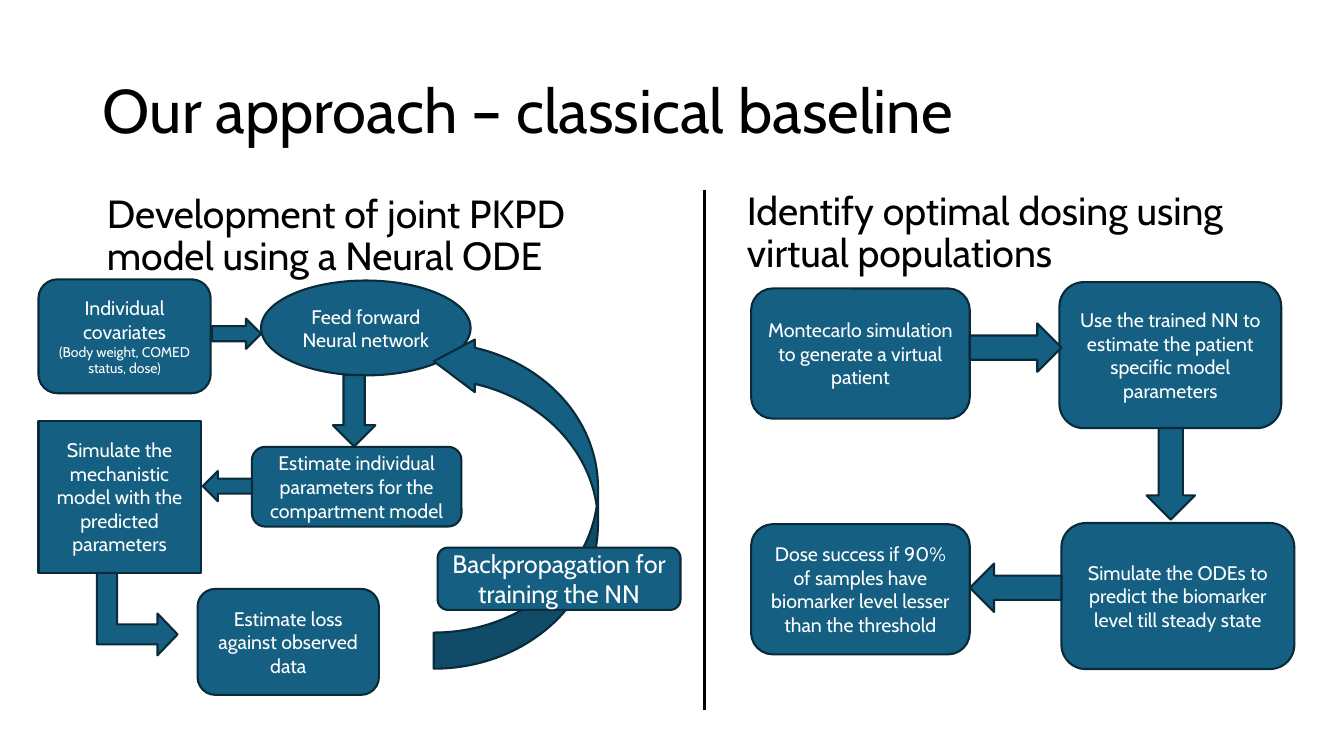
from lxml.etree import SubElement
from pptx import Presentation
from pptx.dml.color import RGBColor
from pptx.enum.shapes import MSO_CONNECTOR as Connector, MSO_SHAPE as Shape
from pptx.enum.text import MSO_ANCHOR as Anchor, MSO_AUTO_SIZE as AutoSize, PP_ALIGN as Align
from pptx.oxml.ns import qn
from pptx.util import Cm, Pt

FONT = "Cabin"
FILL, OUTLINE, BLACK, WHITE = "156082", "092A39", "000000", "FFFFFF"


def color(hex_value):
    return RGBColor.from_string(hex_value)


def format_runs(para, size, hex_value):
    for run in para.runs:
        run.font.name = FONT
        run.font.size = Pt(size)
        run.font.color.rgb = color(hex_value)


def fill_placeholder(holder, box, text, size, anchor):
    holder.left, holder.top, holder.width, holder.height = map(Cm, box)
    frame = holder.text_frame
    frame.text = text
    frame.auto_size = AutoSize.NONE
    frame.vertical_anchor = anchor
    para = frame.paragraphs[0]
    para.alignment = Align.LEFT
    para.line_spacing = 0.9
    format_runs(para, size, BLACK)
    return para


def add_heading(holder, box, text):
    para = fill_placeholder(holder, box, text, 28, Anchor.TOP)
    para.space_before = Pt(10)
    # Plain heading without a bullet
    properties = para._p.get_or_add_pPr()
    properties.set("marL", "0")
    properties.set("indent", "0")
    SubElement(properties, qn("a:buNone"))


def add_part(slide, panel, kind, offset, size, rotation=0, adjustments=()):
    """Place a shape at an offset from the panel's top left corner."""
    part = slide.shapes.add_shape(
        kind, Cm(panel[0] + offset[0]), Cm(panel[1] + offset[1]), *map(Cm, size))
    part.rotation = rotation
    part.shadow.inherit = False
    part.fill.solid()
    part.fill.fore_color.rgb = color(FILL)
    part.line.color.rgb = color(OUTLINE)
    part.line.width = Pt(1.5)
    for index, value in enumerate(adjustments):
        part.adjustments[index] = value
    return part


def add_step(slide, panel, offset, size, *lines, kind=Shape.ROUNDED_RECTANGLE):
    """Add a process step; each line is a pair of text and font size."""
    frame = add_part(slide, panel, kind, offset, size).text_frame
    frame.word_wrap = True
    frame.vertical_anchor = Anchor.MIDDLE
    for index, (text, font_size) in enumerate(lines):
        para = frame.add_paragraph() if index else frame.paragraphs[0]
        para.text = text
        para.alignment = Align.CENTER
        format_runs(para, font_size, WHITE)


def add_model_panel(slide, holder, panel):
    left, top, width, height = panel
    add_heading(holder, (left + 1.47, top, width - 1.47, height),
                "Development of joint PKPD model using a Neural ODE")
    arrow = (1.24, 0.76)

    # Covariates feed the network
    add_step(slide, panel, (0, 2.26), (4.34, 2.87), ("Individual covariates", 14),
             ("(Body weight, COMED status, dose)", 10))
    add_part(slide, panel, Shape.RIGHT_ARROW, (4.37, 3.25), arrow)
    add_step(slide, panel, (5.61, 2.29), (5.28, 2.39),
             ("Feed forward Neural network", 14), kind=Shape.OVAL)

    # Network output becomes model parameters
    add_part(slide, panel, Shape.DOWN_ARROW, (7.42, 4.67), (1.07, 1.8))
    add_step(slide, panel, (5.38, 6.48), (5.28, 2.01),
             ("Estimate individual parameters for the compartment model", 14))
    add_part(slide, panel, Shape.RIGHT_ARROW, (4.14, 7.09), arrow, 180)
    add_step(slide, panel, (0, 5.82), (4.09, 3.84),
             ("Simulate the mechanistic model with the predicted parameters", 14),
             kind=Shape.RECTANGLE)

    # Loss and the loop back to the network
    add_part(slide, panel, Shape.BENT_UP_ARROW, (1.45, 9.68), (2.08, 2.03), 90,
             (0.25, 0.26, 0.25))
    add_step(slide, panel, (4.01, 10.06), (4.57, 2.67),
             ("Estimate loss against observed data", 14))
    add_part(slide, panel, Shape.CURVED_RIGHT_ARROW, (9.96, 3.66), (4.14, 8.41), 180,
             (0.22, 0.32, 0.25))
    add_step(slide, panel, (10.06, 9.02), (6.12, 1.57),
             ("Backpropagation for training the NN", 18))


def add_dosing_panel(slide, holder, panel):
    add_heading(holder, panel, "Identify optimal dosing using virtual populations")

    # Steps run clockwise from the top left
    narrow, height = (5.51, 3.28), 3.68
    add_step(slide, panel, (0.36, 2.57), narrow,
             ("Montecarlo simulation to generate a virtual patient", 14))
    add_step(slide, panel, (8.13, 2.41), (5.59, height),
             ("Use the trained NN to estimate the patient specific model parameters", 14))
    add_step(slide, panel, (8.18, 8.48), (5.87, height),
             ("Simulate the ODEs to predict the biomarker level till steady state", 14))
    add_step(slide, panel, (0.36, 8.51), narrow,
             ("Dose success if 90% of samples have biomarker level lesser "
              "than the threshold", 14))

    # Arrows between the steps
    for offset, rotation in (((5.87, 3.45), 0), ((9.78, 6.63), 90), ((5.87, 9.5), 180)):
        add_part(slide, panel, Shape.RIGHT_ARROW, offset, (2.31, 1.22), rotation)


def add_divider(slide, x, top, bottom):
    divider = slide.shapes.add_connector(
        Connector.STRAIGHT, Cm(x), Cm(top), Cm(x), Cm(bottom))
    divider.line.color.rgb = color(BLACK)
    divider.line.width = Pt(2.25)
    SubElement(divider._element.spPr, qn("a:effectLst"))


def main():
    deck = Presentation()
    deck.slide_width, deck.slide_height = Cm(33.87), Cm(19.05)
    slide = deck.slides.add_slide(deck.slide_layouts.get_by_name("Two Content"))
    title, model_heading, dosing_heading = list(slide.placeholders)[:3]
    fill_placeholder(title, (2.34, 1.02, 29.21, 3.68),
                     "Our approach – classical baseline", 44, Anchor.MIDDLE)
    add_model_panel(slide, model_heading, (0.97, 4.78, 14.45, 12.09))
    add_dosing_panel(slide, dosing_heading, (18.57, 4.7, 12.98, 12.09))
    add_divider(slide, 17.75, 4.78, 17.88)
    deck.save("out.pptx")


if __name__ == "__main__":
    main()
